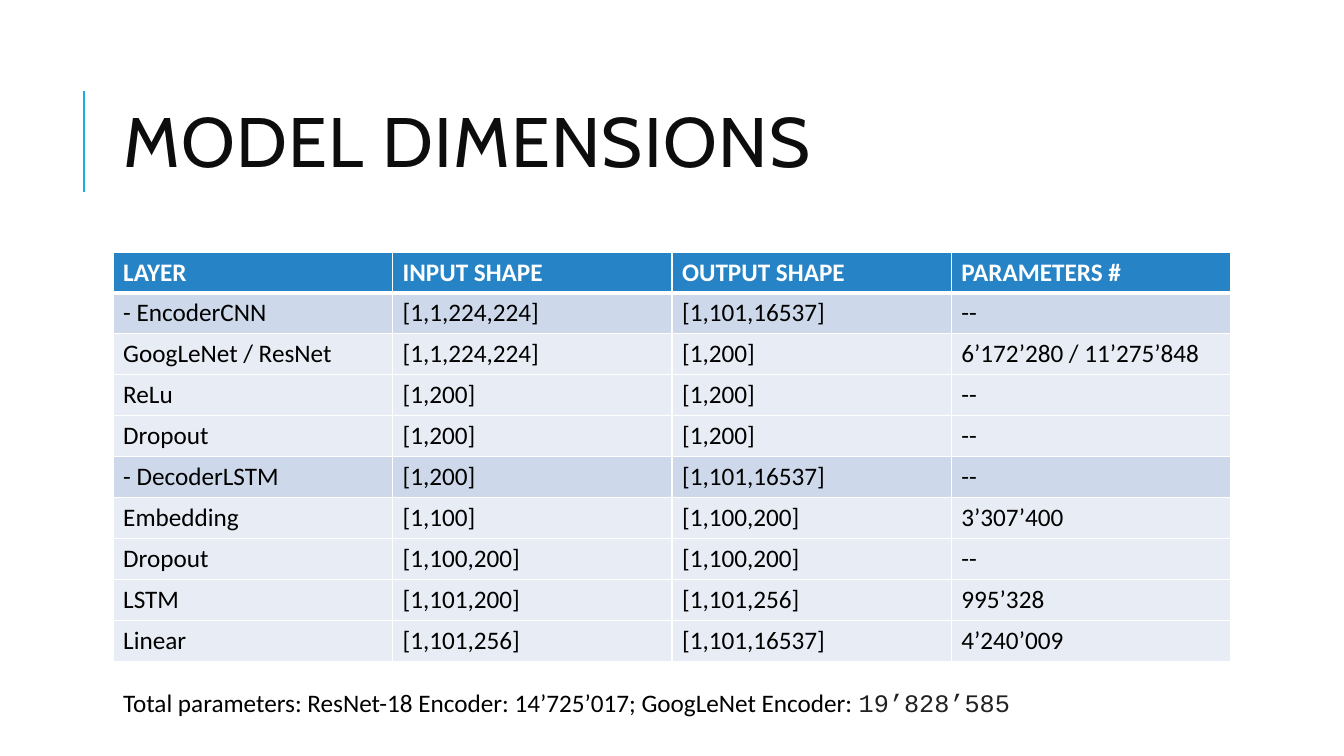
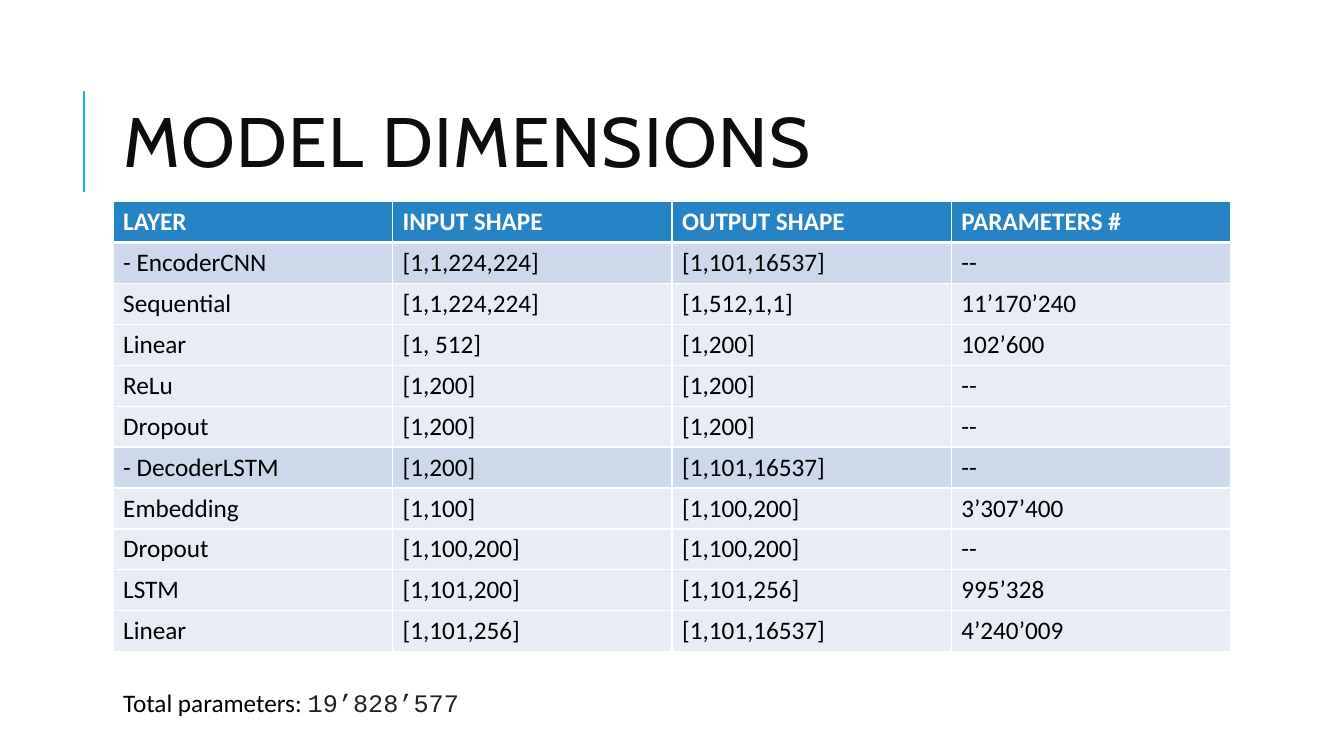
from lxml.etree import SubElement as Sub
from pptx import Presentation
from pptx.dml.color import RGBColor as Rgb
from pptx.enum.shapes import MSO_CONNECTOR as Link
from pptx.enum.text import MSO_ANCHOR as Anchor, MSO_AUTO_SIZE as Fit, PP_ALIGN as Align
from pptx.oxml.ns import qn
from pptx.util import Inches, Pt

HUES = {
    "rule": "1CADE4", "title": "0D0D0D", "head": "2683C6", "group": "CDD9EA",
    "row": "E8EDF5", "white": "FFFFFF", "text": "000000", "code": "212121",
}
COLS, ROWS = 120, 75
LEFT, WIDE, SPAN = 10.1, 95.7, 99.8
STEP = 4.06

HEAD = ("LAYER", "INPUT SHAPE", "OUTPUT SHAPE", "PARAMETERS #")
START = ("- EncoderCNN", "[1,1,224,224]", "[1,101,16537]", "--")
TAIL = [
    ("ReLu", "[1,200]", "[1,200]", "--"),
    ("Dropout", "[1,200]", "[1,200]", "--"),
    ("- DecoderLSTM", "[1,200]", "[1,101,16537]", "--"),
    ("Embedding", "[1,100]", "[1,100,200]", "3’307’400"),
    ("Dropout", "[1,100,200]", "[1,100,200]", "--"),
    ("LSTM", "[1,101,200]", "[1,101,256]", "995’328"),
    ("Linear", "[1,101,256]", "[1,101,16537]", "4’240’009"),
]
JOINT = [("GoogLeNet / ResNet", "[1,1,224,224]", "[1,200]", "6’172’280 / 11’275’848")]
SPLIT = [
    ("Sequential", "[1,1,224,224]", "[1,512,1,1]", "11’170’240"),
    ("Linear", "[1, 512]", "[1,200]", "102’600"),
]
PAGES = [
    (25, JOINT, "Total parameters: ResNet-18 Encoder: 14’725’017; GoogLeNet Encoder: ", "19’828’585"),
    (20, SPLIT, "Total parameters: ", "19’828’577"),
]


class Deck:
    """Holds the shared style and the current slide."""

    def __init__(self):
        self.show = Presentation()
        self.show.slide_width = Inches(13.33)
        self.show.slide_height = Inches(7.5)

    def across(self, cols):
        return round(self.show.slide_width * cols / COLS)

    def down(self, rows):
        return round(self.show.slide_height * rows / ROWS)

    def box(self, left, top, wide, high):
        return self.across(left), self.down(top), self.across(wide), self.down(high)

    def style(self, font, hue, size=18, face="Calibri", bold=False):
        font.name, font.size, font.bold = face, Pt(size), bold
        font.color.rgb = Rgb.from_string(HUES[hue])

    def page(self, title):
        self.slide = self.show.slides.add_slide(self.show.slide_layouts[5])
        self.rule(7.5, 9, 19)
        self.title(title)

    def rule(self, left, top, end):
        x = self.across(left)
        line = self.slide.shapes.add_connector(
            Link.STRAIGHT, x, self.down(end), x, self.down(top))
        line.line.color.rgb = Rgb.from_string(HUES["rule"])
        line.line.width = Pt(1.5)
        Sub(line._element.spPr, qn("a:effectLst"))

    def title(self, text):
        shape = self.slide.shapes.title
        shape.left, shape.top, shape.width, shape.height = self.box(LEFT, 6.4, WIDE, 16.4)
        frame = shape.text_frame
        frame.text = text
        frame.auto_size, frame.vertical_anchor = Fit.NONE, Anchor.MIDDLE
        para = frame.paragraphs[0]
        para.alignment, para.line_spacing = Align.LEFT, 0.8
        self.style(para.font, "title", 50, "Cabin")
        para.runs[0]._r.get_or_add_rPr().set("spc", "100")

    def edge(self, cell, side, width):
        line = Sub(cell._tc.get_or_add_tcPr(), qn(f"a:ln{side}"), w=str(Pt(width)))
        fill = Sub(line, qn("a:solidFill"))
        Sub(fill, qn("a:srgbClr"), val=HUES["white"])

    def cell(self, cell, text, row, fill):
        for side in "LRTB":
            thick = (row, side) in ((0, "B"), (1, "T"))
            self.edge(cell, side, 3 if thick else 1)
        cell.fill.solid()
        cell.fill.fore_color.rgb = Rgb.from_string(HUES[fill])
        cell.text = text
        self.style(cell.text_frame.paragraphs[0].font,
                   "text" if row else "white", bold=row == 0)

    def table(self, top, data):
        grid = self.slide.shapes.add_table(
            len(data), len(HEAD), *self.box(LEFT, top, SPAN, STEP * len(data))).table
        grid.horz_banding = False
        for r, texts in enumerate(data):
            group = "group" if texts[0].startswith("-") else "row"
            for c, text in enumerate(texts):
                self.cell(grid.cell(r, c), text, r, group if r else "head")

    def total(self, label, count):
        frame = self.slide.shapes.add_textbox(*self.box(LEFT, 67.7, WIDE, 4)).text_frame
        frame.word_wrap, frame.auto_size = True, Fit.SHAPE_TO_FIT_TEXT
        para = frame.paragraphs[0]
        for text, hue, face in ((label, "text", "Calibri"), (count, "code", "Courier New")):
            run = para.add_run()
            run.text = text
            self.style(run.font, hue, face=face)


def main():
    deck = Deck()
    for top, layers, label, count in PAGES:
        deck.page("MODEL DIMENSIONS")
        deck.table(top, [HEAD, START, *layers, *TAIL])
        deck.total(label, count)
    deck.show.save("out.pptx")


if __name__ == "__main__":
    main()
